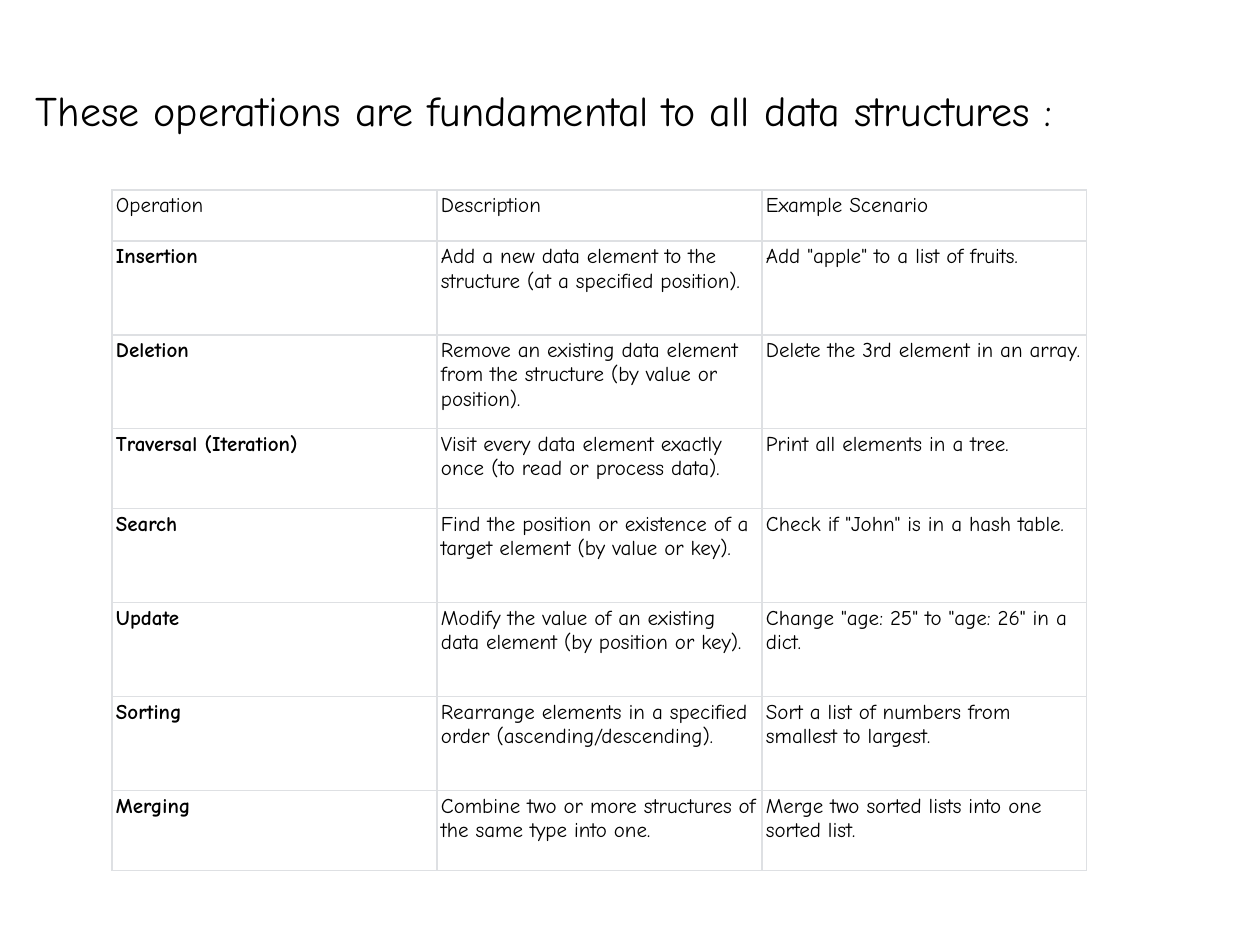
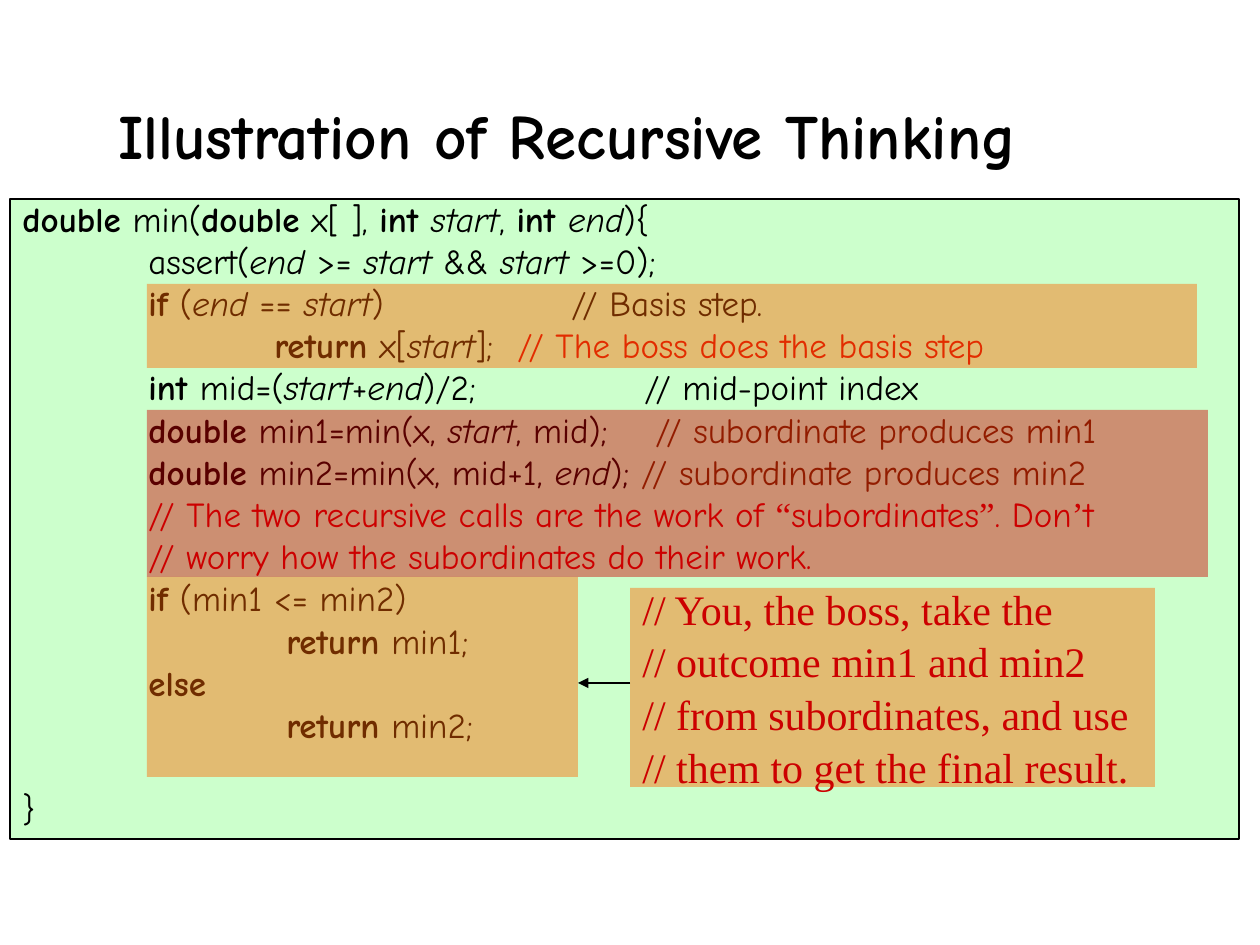
from dataclasses import dataclass
from typing import Any, NamedTuple

from lxml.etree import SubElement
from pptx import Presentation
from pptx.dml.color import RGBColor
from pptx.enum.shapes import MSO_CONNECTOR, MSO_SHAPE
from pptx.enum.text import MSO_ANCHOR, MSO_AUTO_SIZE, PP_ALIGN
from pptx.oxml.ns import qn
from pptx.util import Emu, Pt

PX_PER_INCH = 126
COLORS = {
    "ink": "000000",
    "grid": "DEE0E3",
    "code": "CCFFCC",
    "orange": "FF6600",
    "red": "CC0000",
    "brown": "663300",
}
HAND, SERIF = "Comic Neue", "Times New Roman"
HAIRLINE = Pt(0.75)
TITLE_ONLY = 5


class Box(NamedTuple):
    left: int
    top: int
    width: int
    height: int


class Span(NamedTuple):
    text: str
    style: str = "plain"


@dataclass
class CodeLine:
    spans: list[Span]
    tabs: tuple[int, ...] = (126, 252)
    space_before: float = 4.9


@dataclass
class Highlight:
    box: Box
    color: str


# Character formats, by the role of a span
STYLES: dict[str, dict[str, Any]] = {
    "plain": {},
    "bold": {"bold": True},
    "italic": {"italic": True},
    "red": {"color": "red"},
    "quote": {"color": "red", "name": SERIF},
    "brown": {"color": "brown"},
}

TABLE_LEFT, TABLE_TOP, COLUMN_WIDTH = 112, 190, 325
ROW_HEIGHTS = [51, 94, 94, 80, 94, 94, 94, 80]
OPERATIONS = [
    ("Operation", "Description", "Example Scenario"),
    ("Insertion", "Add a new data element to the structure (at a specified position).",
     'Add "apple" to a list of fruits.'),
    ("Deletion", "Remove an existing data element from the structure (by value or position).",
     "Delete the 3rd element in an array."),
    ("Traversal (Iteration)", "Visit every data element exactly once (to read or process data).",
     "Print all elements in a tree."),
    ("Search", "Find the position or existence of a target element (by value or key).",
     'Check if "John" is in a hash table.'),
    ("Update", "Modify the value of an existing data element (by position or key).",
     'Change "age: 25" to "age: 26" in a dict.'),
    ("Sorting", "Rearrange elements in a specified order (ascending/descending).",
     "Sort a list of numbers from smallest to largest."),
    ("Merging", "Combine two or more structures of the same type into one.",
     "Merge two sorted lists into one sorted list."),
]

START, END = Span("start", "italic"), Span("end", "italic")
RETURN, DOUBLE = Span("return", "bold"), Span("double", "bold")
INT, TAB = Span("int ", "bold"), Span("\t")
RETURN_TABS = (126, 264)
CODE = [
    CodeLine([DOUBLE, Span(" min("), DOUBLE, Span(" x[ ], "), INT, START, Span(", "),
              INT, END, Span("){")], space_before=0),
    CodeLine([Span("\tassert("), END, Span(" >= "), START, Span(" && "), START, Span(" >=0);")]),
    CodeLine([TAB, Span("if", "bold"), Span(" ("), END, Span(" == "), START,
              Span(")\t// Basis step.")], (126, 549)),
    CodeLine([Span("\t\t"), RETURN, Span(" x["), START, Span("];\t"),
              Span("// The boss does the basis step", "red")], (126, 252, 495)),
    CodeLine([TAB, INT, Span("mid=("), START, Span("+"), END,
              Span(")/2;\t// mid-point index")], (126, 622)),
    CodeLine([TAB, DOUBLE, Span(" min1=min(x, "), START, Span(", mid);\t"),
              Span("// subordinate produces min1", "brown")], (126, 633)),
    CodeLine([TAB, DOUBLE, Span(" min2=min(x, mid+1, "), END, Span("); "),
              Span("// subordinate produces min2", "brown")]),
    CodeLine([TAB, Span("// The two recursive calls are the work of ", "red"),
              Span("“", "quote"), Span("subordinates", "red"), Span("”", "quote"),
              Span(". Don", "red"), Span("’", "quote"), Span("t", "red")]),
    CodeLine([TAB, Span("// worry how the subordinates do their work.", "red")]),
    CodeLine([TAB, Span("if", "bold"), Span(" (min1 <= min2)")]),
    CodeLine([Span("\t\t"), RETURN, Span(" min1;")], RETURN_TABS),
    CodeLine([TAB, Span("else", "bold")]),
    CodeLine([Span("\t\t"), RETURN, Span(" min2;")], RETURN_TABS),
    CodeLine([Span("}")], space_before=28.1),
]

CODE_BOX = Box(10, 199, 1229, 640)
HIGHLIGHTS = [
    Highlight(Box(147, 284, 1050, 84), "orange"),
    Highlight(Box(147, 410, 1061, 167), "red"),
    Highlight(Box(147, 577, 431, 200), "orange"),
]
CALLOUT = Highlight(Box(630, 588, 525, 199), "orange")
CALLOUT_LINES = [
    "// You, the boss, take the",
    "// outcome min1 and min2",
    "// from subordinates, and use",
    "// them to get the final result.",
]


def px(length: int) -> Emu:
    return Emu(round(length * 914400 / PX_PER_INCH))


def rgb(color: str) -> RGBColor:
    return RGBColor.from_string(COLORS[color])


def apply(target: Any, formats: dict[str, Any]) -> None:
    for name, value in formats.items():
        setattr(target, name, value)


def add_span(para, text: str, size: float, **formats: Any) -> None:
    span = para.add_run()
    span.text = text
    color = formats.pop("color", "ink")
    apply(span.font, {"name": HAND, "size": Pt(size), "bold": False, **formats})
    span.font.color.rgb = rgb(color)


def set_title(page, text: str, box: Box, size: float, bold: bool, anchor, align) -> None:
    title = page.shapes.title
    apply(title, {name: px(value) for name, value in box._asdict().items()})
    apply(title.text_frame, {"auto_size": MSO_AUTO_SIZE.NONE, "word_wrap": True,
                             "vertical_anchor": anchor})
    para = title.text_frame.paragraphs[0]
    para.alignment = align
    add_span(para, text, size, bold=bold)


def add_rectangle(page, box: Box, color: str):
    shape = page.shapes.add_shape(MSO_SHAPE.RECTANGLE, *map(px, box))
    shape.shadow.inherit = False
    shape.fill.solid()
    shape.fill.fore_color.rgb = rgb(color)
    shape.line.fill.background()
    shape.text_frame.word_wrap = True
    return shape


def add_highlight(page, highlight: Highlight):
    shape = add_rectangle(page, highlight.box, highlight.color)
    color = shape.fill._xPr.find(qn("a:solidFill"))[0]
    SubElement(color, qn("a:alpha"), val="44000")
    return shape


def next_para(frame, index: int):
    return frame.add_paragraph() if index else frame.paragraphs[0]


def add_code(page) -> None:
    shape = add_rectangle(page, CODE_BOX, "code")
    shape.line.color.rgb = rgb("ink")
    shape.line.width = HAIRLINE
    frame = shape.text_frame
    frame.vertical_anchor = MSO_ANCHOR.TOP
    for index, line in enumerate(CODE):
        para = next_para(frame, index)
        stops = SubElement(para._p.get_or_add_pPr(), qn("a:tabLst"))
        for tab in line.tabs:
            SubElement(stops, qn("a:tab"), pos=str(px(tab)), algn="l")
        apply(para, {"alignment": PP_ALIGN.LEFT, "line_spacing": 0.8,
                     "space_before": Pt(line.space_before)})
        for span in line.spans:
            add_span(para, span.text, 20, **STYLES[span.style])


def add_callout(page) -> None:
    frame = add_highlight(page, CALLOUT).text_frame
    frame.vertical_anchor = MSO_ANCHOR.MIDDLE
    for index, text in enumerate(CALLOUT_LINES):
        para = next_para(frame, index)
        apply(para, {"alignment": PP_ALIGN.JUSTIFY, "space_before": Pt(1.4 if index else 0)})
        add_span(para, text, 24, name=SERIF, color="red")


def add_arrow(page, start: tuple[int, int], end: tuple[int, int]) -> None:
    arrow = page.shapes.add_connector(MSO_CONNECTOR.STRAIGHT, *map(px, start + end))
    arrow.line.color.rgb = rgb("ink")
    arrow.line.width = HAIRLINE
    SubElement(arrow.line._get_or_add_ln(), qn("a:tailEnd"), type="triangle")
    SubElement(arrow._element.spPr, qn("a:effectLst"))


def format_cell(cell) -> None:
    sides = ("left", "right", "top", "bottom")
    apply(cell, {f"margin_{side}": px(4) for side in sides})
    properties = cell._tc.get_or_add_tcPr()
    for side in "LRTB":
        border = SubElement(properties, qn(f"a:ln{side}"), w=str(HAIRLINE))
        fill = SubElement(border, qn("a:solidFill"))
        SubElement(fill, qn("a:srgbClr"), val=COLORS["grid"])
    cell.fill.background()


def add_operations(page) -> None:
    columns = len(OPERATIONS[0])
    box = Box(TABLE_LEFT, TABLE_TOP, columns * COLUMN_WIDTH, sum(ROW_HEIGHTS))
    table = page.shapes.add_table(len(OPERATIONS), columns, *map(px, box)).table
    apply(table, {"first_row": False, "horz_banding": False})
    for column in table.columns:
        column.width = px(COLUMN_WIDTH)
    for row, (height, texts) in enumerate(zip(ROW_HEIGHTS, OPERATIONS)):
        table.rows[row].height = px(height)
        for column, text in enumerate(texts):
            cell = table.cell(row, column)
            format_cell(cell)
            add_span(cell.text_frame.paragraphs[0], text, 12, bold=row > 0 and column == 0)


def main() -> None:
    deck = Presentation()
    deck.slide_width, deck.slide_height = px(1260), px(945)
    layout = deck.slide_layouts[TITLE_ONLY]

    # Table of basic operations
    page = deck.slides.add_slide(layout)
    set_title(page, "These operations are fundamental to all data structures :",
              Box(23, 78, 1162, 98), 24, False, MSO_ANCHOR.TOP, PP_ALIGN.LEFT)
    add_operations(page)

    # Recursive minimum with highlighted steps
    page = deck.slides.add_slide(layout)
    set_title(page, "Illustration of Recursive Thinking",
              Box(94, 60, 946, 118), 36, True, MSO_ANCHOR.BOTTOM, PP_ALIGN.CENTER)
    add_code(page)
    for highlight in HIGHLIGHTS:
        add_highlight(page, highlight)
    add_callout(page)
    add_arrow(page, (630, 683), (578, 683))

    deck.save("out.pptx")


if __name__ == "__main__":
    main()
